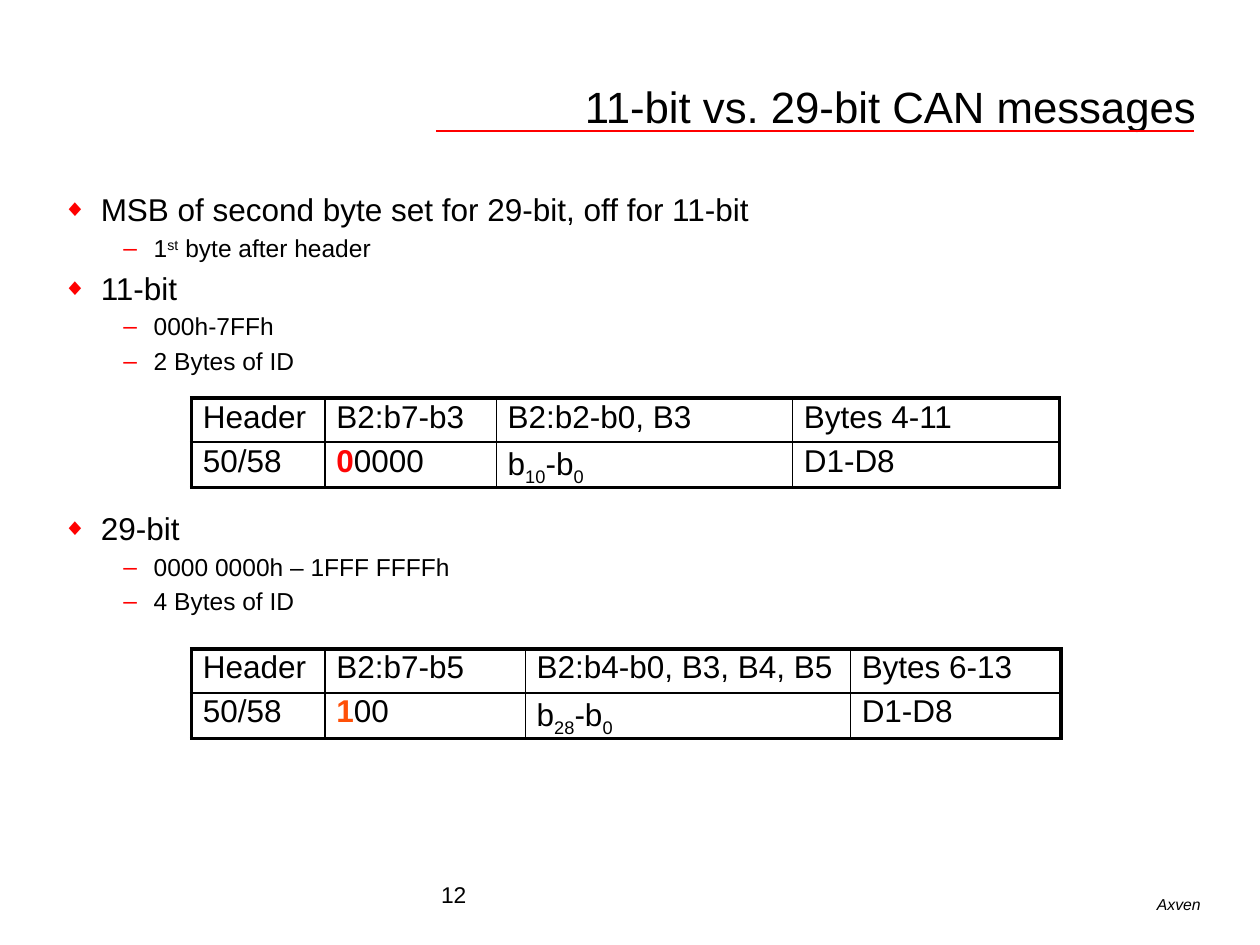
"""Build the slide comparing 11-bit and 29-bit CAN messages."""
from lxml.etree import SubElement
from pptx import Presentation
from pptx.dml.color import RGBColor
from pptx.enum.shapes import MSO_CONNECTOR
from pptx.enum.text import MSO_ANCHOR, MSO_AUTO_SIZE, PP_ALIGN
from pptx.oxml.ns import qn
from pptx.util import Inches, Pt

BLACK = RGBColor(0x00, 0x00, 0x00)
RED = RGBColor(0xFF, 0x00, 0x00)
BIT_RED = RGBColor(0xFE, 0x06, 0x06)
BIT_ORANGE = RGBColor(0xFF, 0x50, 0x08)
FONT = "Arial"

TITLE = "11-bit vs. 29-bit CAN messages"
PAGE = "12"
FOOTER = "Axven"
SUB = {"base": -25}
SUP = {"base": 30}

LEVELS = [
    {"size": 18, "left": 0.3, "hang": 0.3, "bullet": "◆", "scale": 75},
    {"size": 14, "left": 0.72, "hang": 0.24, "bullet": "–", "scale": 100},
]
TABLE_GAP = 79.4
BODY = [
    (0, None, [("MSB of second byte set for 29-bit, off for 11-bit", {})]),
    (1, None, [("1", {}), ("st", SUP), (" byte after header", {})]),
    (0, None, [("11-bit", {})]),
    (1, None, [("000h-7FFh", {})]),
    (1, None, [("2 Bytes of ID", {})]),
    (0, TABLE_GAP, [("29-bit", {})]),
    (1, None, [("0000 0000h – 1FFF FFFFh", {})]),
    (1, None, [("4 Bytes of ID", {})]),
]

TABLES = [
    {"top": 3.16, "cols": [1.06, 1.36, 2.35, 2.12],
     "heads": ["Header", "B2:b7-b3", "B2:b2-b0, B3", "Bytes 4-11"],
     "flag": ("0", BIT_RED), "rest": "0000", "high_bit": "10"},
    {"top": 5.15, "cols": [1.06, 1.59, 2.58, 1.67],
     "heads": ["Header", "B2:b7-b5", "B2:b4-b0, B3, B4, B5", "Bytes 6-13"],
     "flag": ("1", BIT_ORANGE), "rest": "00", "high_bit": "28"},
]
TABLE_LEFT, ROW_HEIGHT = 1.52, 0.35
OUTER, INNER = 2.25, 1


def add_run(p, text, size, color=BLACK, bold=False, italic=False, base=0):
    r = p.add_run()
    r.text = text
    r.font.name, r.font.size = FONT, Pt(size)
    r.font.bold, r.font.italic = bold, italic
    r.font.color.rgb = color
    if base:
        r.font._element.set("baseline", str(base * 1000))


def place(sp, left, top, width, height):
    sp.left, sp.top = Inches(left), Inches(top)
    sp.width, sp.height = Inches(width), Inches(height)


def set_frame(tf, inset_x, inset_y, anchor, wrap=True):
    tf.auto_size = MSO_AUTO_SIZE.NONE
    tf.word_wrap = wrap
    tf.vertical_anchor = anchor
    tf.margin_left = tf.margin_right = Inches(inset_x)
    tf.margin_top = tf.margin_bottom = Inches(inset_y)


def set_bullet(p, level):
    pPr = p._p.get_or_add_pPr()
    pPr.set("marL", str(Inches(level["left"])))
    pPr.set("indent", str(-Inches(level["hang"])))
    SubElement(SubElement(pPr, qn("a:buClr")), qn("a:srgbClr"), val=str(RED))
    SubElement(pPr, qn("a:buSzPct"), val=str(level["scale"] * 1000))
    SubElement(pPr, qn("a:buFont"), typeface=FONT)
    SubElement(pPr, qn("a:buChar"), char=level["bullet"])


def set_borders(cell, widths):
    tcPr = cell._tc.get_or_add_tcPr()
    for side, width in zip("LRTB", widths):
        ln = SubElement(tcPr, qn(f"a:ln{side}"), w=str(Pt(width)))
        SubElement(SubElement(ln, qn("a:solidFill")), qn("a:srgbClr"), val=str(BLACK))


def add_rule(slide):
    line = slide.shapes.add_connector(
        MSO_CONNECTOR.STRAIGHT, Inches(3.46), Inches(1.04), Inches(9.48), Inches(1.04))
    line.line.color.rgb, line.line.width = RED, Pt(1)
    SubElement(line._element.spPr, qn("a:effectLst"))


def add_label(slide, box, text, size, align, anchor, inset_y, wrap, italic=False):
    tf = slide.shapes.add_textbox(*map(Inches, box)).text_frame
    set_frame(tf, 0.09, inset_y, anchor, wrap)
    p = tf.paragraphs[0]
    p.alignment = align
    add_run(p, text, size, italic=italic)


def fill_title(sp):
    place(sp, 3.13, 0.09, 6.36, 0.96)
    set_frame(sp.text_frame, 0, 0, MSO_ANCHOR.BOTTOM)
    p = sp.text_frame.paragraphs[0]
    p.alignment, p.line_spacing = PP_ALIGN.RIGHT, 0.85
    add_run(p, TITLE, 25)


def fill_body(sp):
    place(sp, 0.4, 1.5, 8.92, 5.19)
    tf = sp.text_frame
    set_frame(tf, 0.1, 0.05, MSO_ANCHOR.TOP)
    for i, (depth, gap, runs) in enumerate(BODY):
        p = tf.paragraphs[0] if i == 0 else tf.add_paragraph()
        level = LEVELS[depth]
        p.level, p.line_spacing = depth, 0.88
        p.space_before = Pt(gap or level["size"] * 0.34)
        set_bullet(p, level)
        for text, style in runs:
            add_run(p, text, level["size"], **style)


def add_message_table(slide, data):
    flag, color = data["flag"]
    rows = [
        [[(head, {})] for head in data["heads"]],
        [[("50/58", {})],
         [(flag, {"color": color, "bold": True}), (data["rest"], {})],
         [("b", {}), (data["high_bit"], SUB), ("-b", {}), ("0", SUB)],
         [("D1-D8", {})]],
    ]
    cols = data["cols"]
    last_row, last_col = len(rows) - 1, len(cols) - 1
    table = slide.shapes.add_table(
        len(rows), len(cols), Inches(TABLE_LEFT), Inches(data["top"]),
        Inches(sum(cols)), Inches(ROW_HEIGHT * len(rows))).table
    table.first_row = table.horz_banding = False
    for column, width in zip(table.columns, cols):
        column.width = Inches(width)
    for i, row in enumerate(rows):
        for j, runs in enumerate(row):
            cell = table.cell(i, j)
            edges = (j == 0, j == last_col, i == 0, i == last_row)
            set_borders(cell, [OUTER if edge else INNER for edge in edges])
            cell.fill.background()
            cell.margin_left = cell.margin_right = Inches(0.09)
            cell.margin_top = cell.margin_bottom = Inches(0.04)
            p = cell.text_frame.paragraphs[0]
            p.line_spacing = 0.88
            for text, style in runs:
                add_run(p, text, 18, **style)


def main():
    prs = Presentation()
    prs.slide_width, prs.slide_height = Inches(10), Inches(7.5)
    slide = prs.slides.add_slide(prs.slide_layouts[1])
    add_rule(slide)
    fill_title(slide.shapes.title)
    fill_body(slide.placeholders[1])
    for data in TABLES:
        add_message_table(slide, data)
    add_label(slide, (3.41, 6.84, 3.18, 0.51), PAGE, 13,
              PP_ALIGN.LEFT, MSO_ANCHOR.MIDDLE, 0.05, True)
    add_label(slide, (6.59, 7.06, 3.03, 0.24), FOOTER, 9,
              PP_ALIGN.RIGHT, MSO_ANCHOR.TOP, 0.04, True, italic=True)
    prs.save("out.pptx")


if __name__ == "__main__":
    main()
